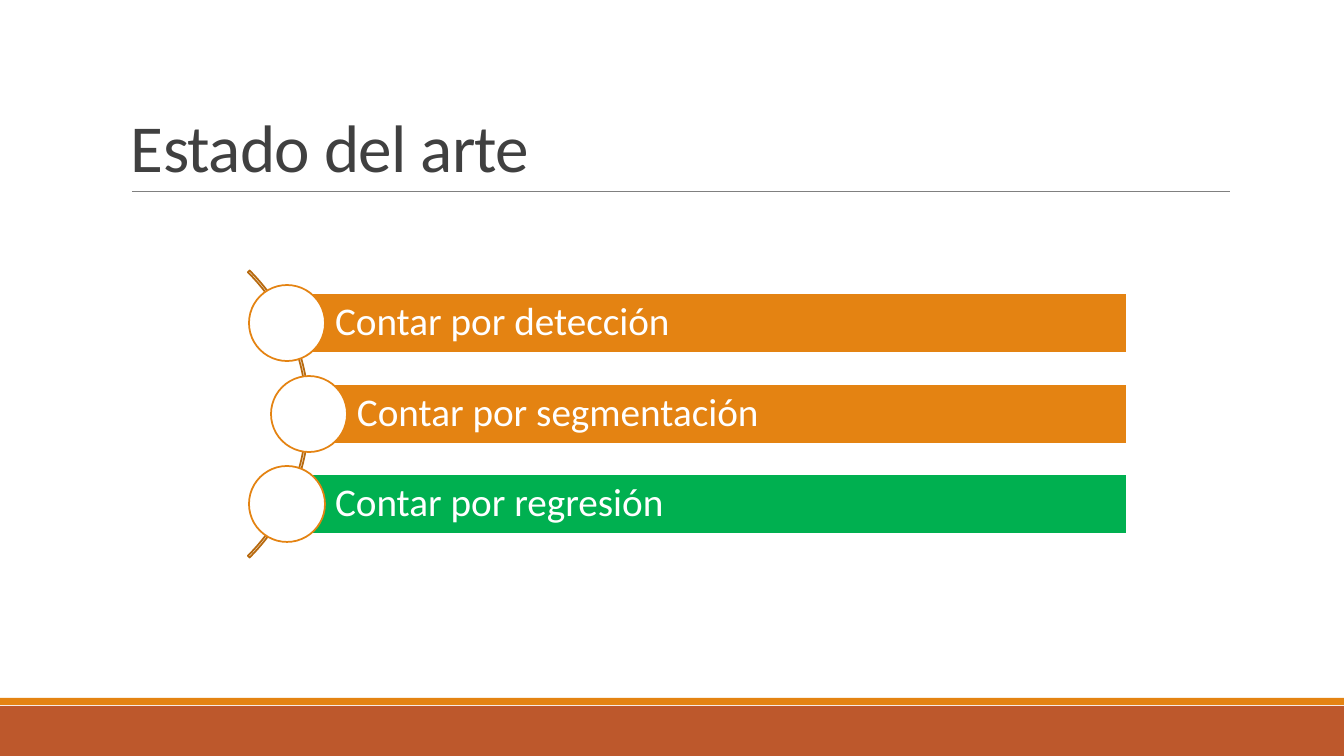
from lxml.etree import SubElement
from pptx import Presentation
from pptx.dml.color import RGBColor
from pptx.enum.shapes import MSO_CONNECTOR, MSO_SHAPE as Preset
from pptx.enum.text import MSO_ANCHOR as Anchor, PP_ALIGN as Align
from pptx.oxml.ns import qn
from pptx.util import Emu, Pt

EMU_PER_PX = 914400 / 100.8
WHITE, ORANGE, RUST, GREEN = "FFFFFF", "E48312", "BD582C", "00B050"
BROWN, DARK, GRAY = "B7690E", "404040", "808080"

# Row geometry
FIRST_CENTER, LAST_CENTER = 323, 504
BAR_RIGHT, BAR_HEIGHT, CIRCLE_SIZE = 1127, 60, 76
ROWS = [
    ("Contar por detección", 287, ORANGE),
    ("Contar por segmentación", 309, ORANGE),
    ("Contar por regresión", 287, GREEN),
]


def px(*lengths):
    return [Emu(round(length * EMU_PER_PX)) for length in lengths]


def color(value):
    return RGBColor.from_string(value)


def set_attributes(target, values):
    for name, value in values.items():
        setattr(target, name, value)


def add_preset(slide, preset, box, fill=None, line=None):
    shape = slide.shapes.add_shape(preset, *px(*box))
    shape.shadow.inherit = False
    if fill:
        shape.fill.solid()
        shape.fill.fore_color.rgb = color(fill)
    else:
        shape.fill.background()
    if line:
        shape.line.color.rgb = color(line)
        shape.line.width = Pt(1.25)
    else:
        shape.line.fill.background()
    return shape


def write_text(shape, text, size, text_color, anchor, insets, spacing):
    frame = shape.text_frame
    left, top, right, bottom = px(*insets)
    set_attributes(frame, {
        "word_wrap": True, "vertical_anchor": anchor,
        "margin_left": left, "margin_top": top,
        "margin_right": right, "margin_bottom": bottom,
    })
    paragraph = frame.paragraphs[0]
    set_attributes(paragraph, {"alignment": Align.LEFT, "line_spacing": spacing})
    run = paragraph.add_run()
    run.text = text
    set_attributes(run.font, {"name": "Calibri", "size": Pt(size)})
    run.font.color.rgb = color(text_color)
    return run


def add_title(slide, text):
    box = slide.shapes.add_textbox(*px(121, 31, 1109, 160))
    run = write_text(box, text, 48, DARK, Anchor.BOTTOM, (10, 5, 10, 5), 0.85)
    run.font._element.set("spc", "-50")


def add_rule(slide, left, right, y):
    rule = slide.shapes.add_connector(MSO_CONNECTOR.STRAIGHT, *px(left, y, right, y))
    rule.line.color.rgb = color(GRAY)
    rule.line.width = Pt(0.5)
    SubElement(rule._element.spPr, qn("a:effectLst"))


def add_arc(slide):
    arc = add_preset(slide, Preset.BLOCK_ARC, (-97, 211, 406, 406), line=BROWN)
    for index, value in enumerate((189, 27, 0.006)):
        arc.adjustments[index] = value


def add_row(slide, text, center_x, center_y, fill):
    bar_box = (center_x, center_y - BAR_HEIGHT // 2, BAR_RIGHT - center_x, BAR_HEIGHT)
    bar = add_preset(slide, Preset.RECTANGLE, bar_box, fill, WHITE)
    write_text(bar, text, 28, WHITE, Anchor.MIDDLE, (48, 8, 8, 8), 0.9)
    radius = CIRCLE_SIZE // 2
    circle_box = (center_x - radius, center_y - radius, CIRCLE_SIZE, CIRCLE_SIZE)
    add_preset(slide, Preset.OVAL, circle_box, WHITE, ORANGE)


def main():
    presentation = Presentation()
    width, height = px(1344, 756)
    set_attributes(presentation, {"slide_width": width, "slide_height": height})
    slide = presentation.slides.add_slide(presentation.slide_layouts[6])

    # Footer bands
    add_preset(slide, Preset.RECTANGLE, (0, 706, 1344, 50), RUST)
    add_preset(slide, Preset.RECTANGLE, (0, 698, 1344, 7), ORANGE)

    # Heading
    add_rule(slide, 132, 1230, 191)
    add_title(slide, "Estado del arte")

    # Curved list
    add_arc(slide)
    step = (LAST_CENTER - FIRST_CENTER) / (len(ROWS) - 1)
    for index, (text, center_x, fill) in enumerate(ROWS):
        add_row(slide, text, center_x, round(FIRST_CENTER + index * step), fill)

    presentation.save("out.pptx")


if __name__ == "__main__":
    main()
